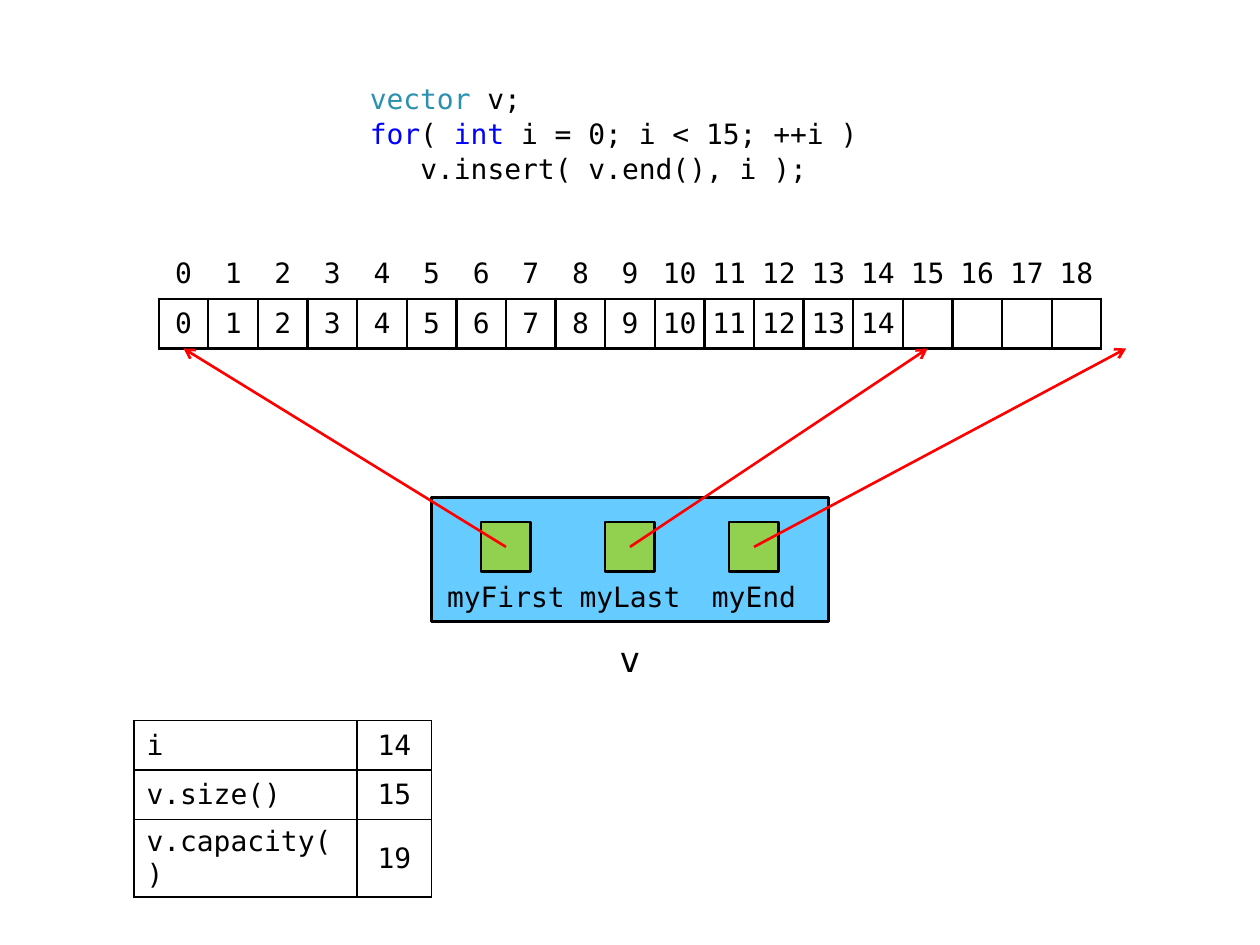
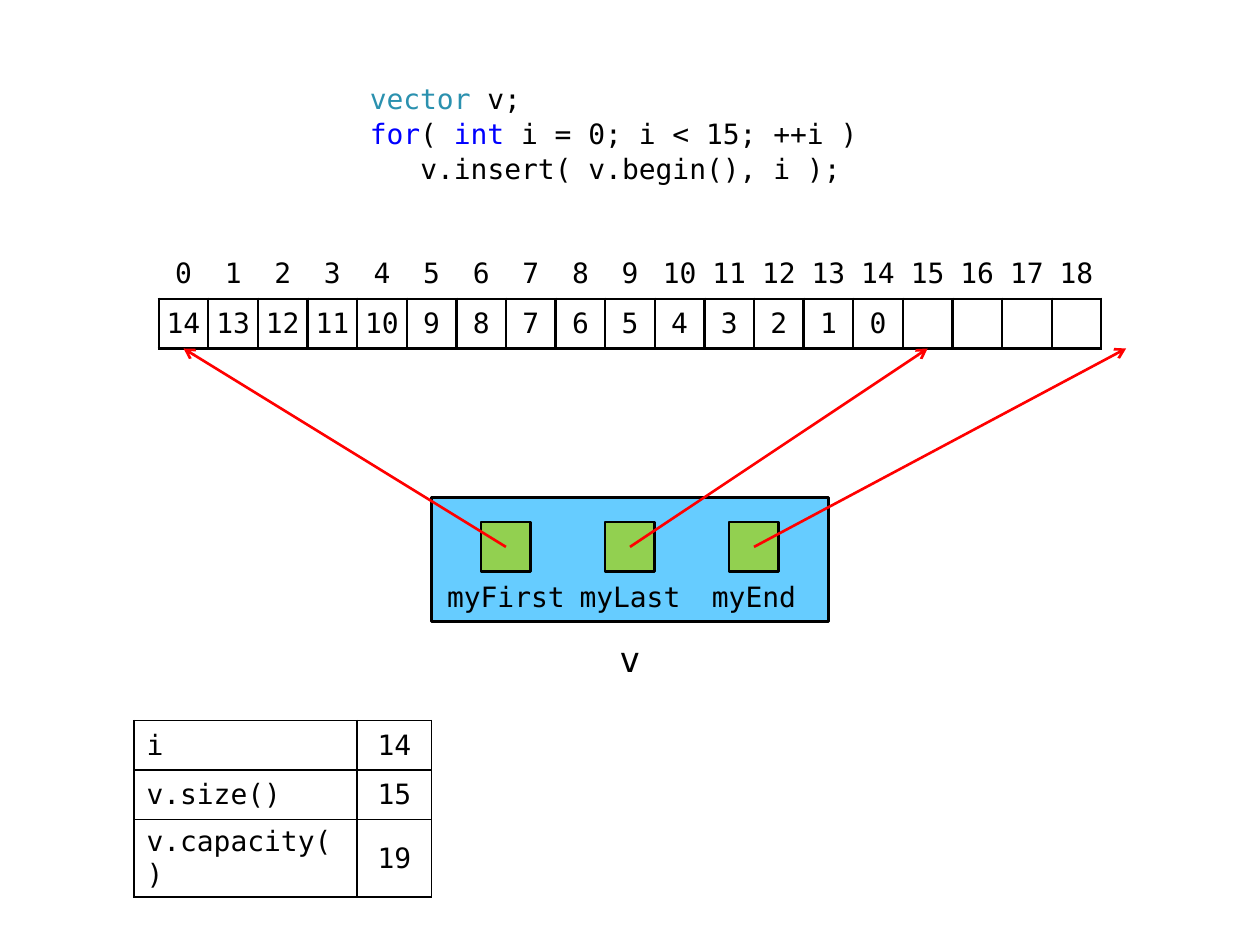
from lxml import etree
from pptx import Presentation
from pptx.dml.color import RGBColor
from pptx.enum.shapes import MSO_CONNECTOR, MSO_SHAPE
from pptx.enum.text import MSO_ANCHOR, MSO_AUTO_SIZE, PP_ALIGN
from pptx.oxml.ns import qn
from pptx.util import Cm, Inches, Pt

STRAIGHT = MSO_CONNECTOR.STRAIGHT
PROCESS, RECTANGLE = MSO_SHAPE.FLOWCHART_PROCESS, MSO_SHAPE.RECTANGLE
TOP, MIDDLE = MSO_ANCHOR.TOP, MSO_ANCHOR.MIDDLE
LEFT, CENTER = PP_ALIGN.LEFT, PP_ALIGN.CENTER
TITLE_AND_CONTENT = 1
NO_TABLE_STYLE = "{2D5ABB26-0587-4C30-8999-92F81FD0307C}"

FONT = "DejaVu Sans Mono"
CODE_SIZE = 16
CODE_INDENT = Pt(3 * 0.602 * CODE_SIZE)  # three characters
BLACK, RED, BLUE, TEAL = "000000", "FF0000", "0000FF", "2B91AF"
OBJECT_FILL, POINTER_FILL = "66CCFF", "92D050"

# The grid has cells of 1 cm and is centred on the slide.
MARGIN_X, MARGIN_Y = 0.2, 0.525
CAPACITY, SIZE = 19, 15
ARRAY_COL, ARRAY_ROW = 3, 4.5
POINTERS = {"myFirst": 0, "myLast": SIZE, "myEnd": CAPACITY}
POINTER_COL, POINTER_ROW, POINTER_STEP = 9.5, 10, 2.5


def color(hex_text):
    return RGBColor.from_string(hex_text)


def point(col, row):
    return Cm(MARGIN_X + col), Cm(MARGIN_Y + row)


def area(col, row, cols, rows):
    return *point(col, row), Cm(cols), Cm(rows)


def add_run(paragraph, text, ink=BLACK, size=CODE_SIZE):
    run = paragraph.add_run()
    run.text = text
    run.font.name = FONT
    run.font.size = Pt(size)
    run.font.color.rgb = color(ink)


def add_code(slide, insert_call):
    slide.shapes.title.element.getparent().remove(slide.shapes.title.element)
    code = slide.placeholders[1]
    code.left, code.top, code.width, code.height = area(7, 1, 11, 2.5)
    frame = code.text_frame
    frame.auto_size = MSO_AUTO_SIZE.NONE
    frame.vertical_anchor = TOP
    lines = [
        (0, [("vector", TEAL), (" v;", BLACK)]),
        (0, [("for", BLUE), ("( ", BLACK), ("int", BLUE),
             (" i = 0; i < 15; ++i )", BLACK)]),
        (CODE_INDENT, [(insert_call, BLACK)]),
    ]
    for number, (indent, runs) in enumerate(lines):
        paragraph = frame.add_paragraph() if number else frame.paragraphs[0]
        paragraph.alignment = LEFT
        paragraph.line_spacing = 1.0
        paragraph.space_before = Pt(0.8)
        paragraph.space_after = Pt(0)
        properties = paragraph._p.get_or_add_pPr()
        properties.set("marL", str(int(indent)))
        properties.set("indent", "0")
        etree.SubElement(properties, qn("a:buNone"))
        for text, ink in runs:
            add_run(paragraph, text, ink)


def add_cell_borders(cell, width):
    properties = cell._tc.get_or_add_tcPr()
    for side in ("lnL", "lnR", "lnT", "lnB"):
        line = etree.SubElement(properties, qn(f"a:{side}"), w=str(Pt(width)))
        fill = etree.SubElement(line, qn("a:solidFill"))
        etree.SubElement(fill, qn("a:srgbClr"), val=BLACK)


def add_grid(slide, col, row, widths, rows, aligns, inset, border, header_rows=0):
    """Add a table with 1 cm rows; header rows have no borders of their own."""
    frame = slide.shapes.add_table(len(rows), len(widths),
                                   *area(col, row, sum(widths), len(rows)))
    frame.element.xpath(".//a:tableStyleId")[0].text = NO_TABLE_STYLE
    table = frame.table
    table.first_row = table.horz_banding = False
    for column, width in zip(table.columns, widths):
        column.width = Cm(width)
    for r, values in enumerate(rows):
        table.rows[r].height = Cm(1)
        for c, value in enumerate(values):
            cell = table.cell(r, c)
            cell.margin_left = cell.margin_right = Inches(inset)
            cell.margin_top = cell.margin_bottom = Inches(0.04)
            cell.vertical_anchor = MIDDLE
            if r >= header_rows:
                add_cell_borders(cell, border)
            cell.fill.background()
            paragraph = cell.text_frame.paragraphs[0]
            paragraph.alignment = aligns[c]
            paragraph.font.size = Pt(CODE_SIZE)
            if value != "":
                add_run(paragraph, str(value))


def add_box(slide, kind, place, fill):
    box = slide.shapes.add_shape(kind, *area(*place))
    box.shadow.inherit = False
    box.fill.solid()
    box.fill.fore_color.rgb = color(fill)
    box.line.color.rgb = color(BLACK)
    box.line.width = Pt(1.5)


def add_label(slide, place, text, size=CODE_SIZE):
    frame = slide.shapes.add_textbox(*area(*place)).text_frame
    frame.word_wrap = True
    frame.vertical_anchor = MIDDLE
    frame.paragraphs[0].alignment = CENTER
    add_run(frame.paragraphs[0], text, size=size)


def add_arrow(slide, start, end):
    arrow = slide.shapes.add_connector(STRAIGHT, *point(*start), *point(*end))
    arrow.line.color.rgb = color(RED)
    arrow.line.width = Pt(1.5)
    etree.SubElement(arrow.line._get_or_add_ln(), qn("a:tailEnd"), type="arrow")
    etree.SubElement(arrow.element.spPr, qn("a:effectLst"))


def add_array(slide, values):
    padded = values + [""] * (CAPACITY - len(values))
    add_grid(slide, ARRAY_COL, ARRAY_ROW, [1] * CAPACITY,
             [range(CAPACITY), padded], [CENTER] * CAPACITY,
             inset=0.06, border=1.5, header_rows=1)


def add_vector_object(slide):
    add_box(slide, PROCESS, (8.5, 9.5, 8, 2.5), OBJECT_FILL)
    columns = [POINTER_COL + n * POINTER_STEP for n in range(len(POINTERS))]
    for col, name in zip(columns, POINTERS):
        add_box(slide, RECTANGLE, (col, POINTER_ROW, 1, 1), POINTER_FILL)
        add_label(slide, (col - 1, POINTER_ROW + 1, 3, 1), name)
    for col, index in zip(columns, POINTERS.values()):
        add_arrow(slide, (col + 0.5, POINTER_ROW + 0.5),
                  (ARRAY_COL + index + 0.5, ARRAY_ROW + 2))
    add_label(slide, (10.5, 12, 4, 1.5), "v", size=20)


def add_state(slide):
    state = [("i", SIZE - 1), ("v.size()", SIZE), ("v.capacity()", CAPACITY)]
    add_grid(slide, 2.5, 14, [4.5, 1.5], state, [LEFT, CENTER],
             inset=0.1, border=1)


def main():
    deck = Presentation()
    deck.slide_width, deck.slide_height = Inches(10), Inches(7.5)
    appended = list(range(SIZE))
    for insert_call, values in [
        ("v.insert( v.end(), i );", appended),
        ("v.insert( v.begin(), i );", appended[::-1]),
    ]:
        slide = deck.slides.add_slide(deck.slide_layouts[TITLE_AND_CONTENT])
        add_code(slide, insert_call)
        add_array(slide, values)
        add_vector_object(slide)
        add_state(slide)
    deck.save("out.pptx")


if __name__ == "__main__":
    main()
